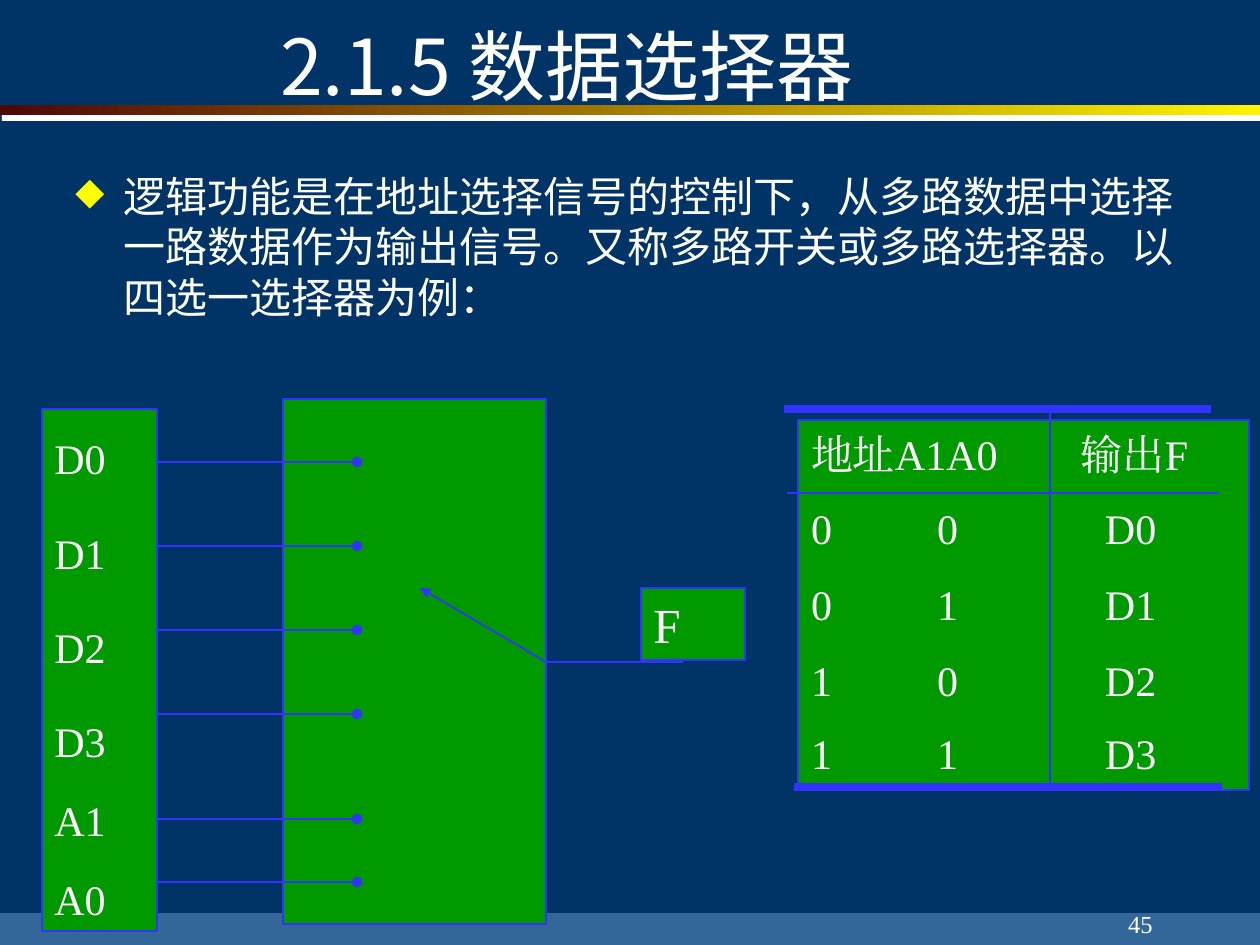
"""Build the data selector slide: a four-way switch diagram and its truth table."""
import dataclasses
import typing

import pptx
import pptx.dml.color
import pptx.enum.shapes
import pptx.enum.text
import pptx.oxml.ns
import pptx.util
from lxml import etree

RGB = pptx.dml.color.RGBColor
NAVY = RGB(0x00, 0x33, 0x66)
STEEL = RGB(0x33, 0x66, 0x99)
MAROON = RGB(0x4D, 0x08, 0x08)
LEMON = RGB(0xFF, 0xF2, 0x00)
YELLOW = RGB(0xFF, 0xFF, 0x00)
GREEN = RGB(0x00, 0x99, 0x00)
BLUE = RGB(0x33, 0x33, 0xFF)
WHITE = RGB(0xFF, 0xFF, 0xFF)

SERIF = "Times New Roman"
HEADING = "Noto Sans CJK SC"
BODY = "Montserrat"
NO_GRID_STYLE = "{2D5ABB26-0587-4C30-8999-92F81FD0307C}"

ALIGN = pptx.enum.text.PP_ALIGN
ANCHOR = pptx.enum.text.MSO_ANCHOR
qn = pptx.oxml.ns.qn


@dataclasses.dataclass(frozen=True)
class Box:
    left: int
    top: int
    width: int
    height: int

    def emu(self) -> list[pptx.util.Emu]:
        return [px(n) for n in (self.left, self.top, self.width, self.height)]


@dataclasses.dataclass(frozen=True)
class Wire:
    x1: int
    y1: int
    x2: int
    y2: int
    weight: float = 1
    head: str = ""
    tail: str = ""


@dataclasses.dataclass(frozen=True)
class Pin:
    label: str
    wire_y: int
    line_spacing: float


PINS = [
    Pin("D0", 462, 1.35),
    Pin("D1", 546, 1.35),
    Pin("D2", 630, 1.35),
    Pin("D3", 714, 1.35),
    Pin("A1", 819, 1.05),
    Pin("A0", 882, 1.05),
]
SWITCH_WIRES = [
    Wire(683, 662, 546, 662),
    Wire(546, 662, 420, 588, tail="triangle"),
]
TABLE_RULES = [
    Wire(784, 409, 1211, 409, weight=4.5),
    Wire(787, 493, 1219, 493),
    Wire(794, 787, 1222, 787, weight=4.5),
    Wire(1050, 409, 1050, 787),
]
TABLE_BOX = Box(798, 420, 451, 370)
COLUMN_WIDTHS = [126, 126, 199]
ROW_HEIGHTS = [72, 76, 76, 76, 70]


def px(length: int) -> pptx.util.Emu:
    return pptx.util.Emu(round(length * 914400 / 126))


def style(paragraph, size: float, font: str = SERIF, align=ALIGN.LEFT) -> None:
    paragraph.alignment = align
    for run in paragraph.runs:
        run.font.size = pptx.util.Pt(size)
        run.font.name = font
        run.font.color.rgb = WHITE
        east_asian = etree.Element(qn("a:ea"), typeface=font)
        run.font._element.find(qn("a:latin")).addnext(east_asian)


def add_rect(slide, box: Box, fill: typing.Optional[RGB], line: typing.Optional[RGB] = None):
    rect = slide.shapes.add_shape(pptx.enum.shapes.MSO_SHAPE.RECTANGLE, *box.emu())
    rect.shadow.inherit = False
    if fill is not None:
        rect.fill.solid()
        rect.fill.fore_color.rgb = fill
    if line is None:
        rect.line.fill.background()
    else:
        rect.line.color.rgb = line
        rect.line.width = pptx.util.Pt(1)
    rect.text_frame.vertical_anchor = ANCHOR.TOP
    return rect


def add_text(slide, box: Box, text: str, size: float, font: str, align, anchor):
    frame = slide.shapes.add_textbox(*box.emu()).text_frame
    frame.word_wrap = True
    frame.vertical_anchor = anchor
    frame.text = text
    style(frame.paragraphs[0], size, font, align)
    return frame.paragraphs[0]


def add_wire(slide, wire: Wire) -> None:
    ends = [px(n) for n in (wire.x1, wire.y1, wire.x2, wire.y2)]
    line = slide.shapes.add_connector(pptx.enum.shapes.MSO_CONNECTOR.STRAIGHT, *ends)
    line.line.color.rgb = BLUE
    line.line.width = pptx.util.Pt(wire.weight)
    outline = line.line._get_or_add_ln()
    for tag, kind in (("a:headEnd", wire.head), ("a:tailEnd", wire.tail)):
        if kind:
            etree.SubElement(outline, qn(tag), type=kind)
    etree.SubElement(line._element.spPr, qn("a:effectLst"))


def add_bullet(paragraph) -> None:
    properties = paragraph._p.get_or_add_pPr()
    properties.set("marL", str(px(48)))
    properties.set("indent", str(-px(48)))
    color = etree.SubElement(properties, qn("a:buClr"))
    etree.SubElement(color, qn("a:srgbClr"), val=str(YELLOW))
    etree.SubElement(properties, qn("a:buSzPct"), val="90000")
    etree.SubElement(properties, qn("a:buChar"), char="◆")


def add_frame(slide) -> None:
    slide.background.fill.solid()
    slide.background.fill.fore_color.rgb = NAVY
    add_rect(slide, Box(0, 913, 1260, 32), STEEL)
    add_rect(slide, Box(2, 110, 1258, 11), WHITE)
    rule = add_rect(slide, Box(0, 105, 1260, 10), None)
    rule.fill.gradient()
    rule.fill.gradient_angle = 0
    for stop, color in zip(rule.fill.gradient_stops, (MAROON, LEMON)):
        stop.color.rgb = color


def add_switch(slide) -> None:
    output = add_rect(slide, Box(641, 588, 104, 72), GREEN, BLUE).text_frame
    output.text = "F"
    style(output.paragraphs[0], 28)
    add_rect(slide, Box(283, 399, 263, 525), GREEN, BLUE)
    inputs = add_rect(slide, Box(42, 409, 115, 522), GREEN, BLUE).text_frame
    inputs.text = "\n".join(pin.label for pin in PINS)
    for pin, paragraph in zip(PINS, inputs.paragraphs):
        paragraph.line_spacing = pin.line_spacing
        paragraph.space_before = pptx.util.Pt(15)
        style(paragraph, 24)
        add_wire(slide, Wire(357, pin.wire_y, 157, pin.wire_y, head="oval"))
    for wire in SWITCH_WIRES:
        add_wire(slide, wire)


def add_truth_table(slide) -> None:
    add_rect(slide, TABLE_BOX, GREEN, BLUE)
    table = slide.shapes.add_table(5, 3, *TABLE_BOX.emu()).table
    table._tbl.tblPr.find(qn("a:tableStyleId")).text = NO_GRID_STYLE
    table.first_row = table.horz_banding = False
    for column, width in zip(table.columns, COLUMN_WIDTHS):
        column.width = px(width)
    for row, height in zip(table.rows, ROW_HEIGHTS):
        row.height = px(height)
    table.cell(0, 0).merge(table.cell(0, 1))
    rows = [("地址A1A0", "", "输出F")]
    rows += [(str(n // 2), str(n % 2), f"D{n}") for n in range(4)]
    for r, values in enumerate(rows):
        for c, value in enumerate(values):
            cell = table.cell(r, c)
            cell.fill.background()
            cell.vertical_anchor = ANCHOR.MIDDLE
            cell.margin_top = cell.margin_bottom = 0
            cell.margin_left = px(13 if c < 2 else 55 if r else 31)
            if value:
                cell.text_frame.text = value
                style(cell.text_frame.paragraphs[0], 24)
    for rule in TABLE_RULES:
        add_wire(slide, rule)


def main() -> None:
    deck = pptx.Presentation()
    deck.slide_width, deck.slide_height = px(1260), px(945)
    slide = deck.slides.add_slide(deck.slide_layouts[6])
    add_frame(slide)
    add_text(slide, Box(903, 882, 262, 63), "45", 14, SERIF, ALIGN.RIGHT, ANCHOR.BOTTOM)
    add_text(slide, Box(0, 6, 1134, 118), "2.1.5 数据选择器", 44, HEADING, ALIGN.CENTER, ANCHOR.MIDDLE)
    summary = "逻辑功能是在地址选择信号的控制下，从多路数据中选择一路数据作为输出信号。又称多路开关或多路选择器。以四选一选择器为例："
    add_bullet(add_text(slide, Box(63, 164, 1134, 210), summary, 24, BODY, ALIGN.LEFT, ANCHOR.TOP))
    add_switch(slide)
    add_truth_table(slide)
    deck.save("out.pptx")


if __name__ == "__main__":
    main()
